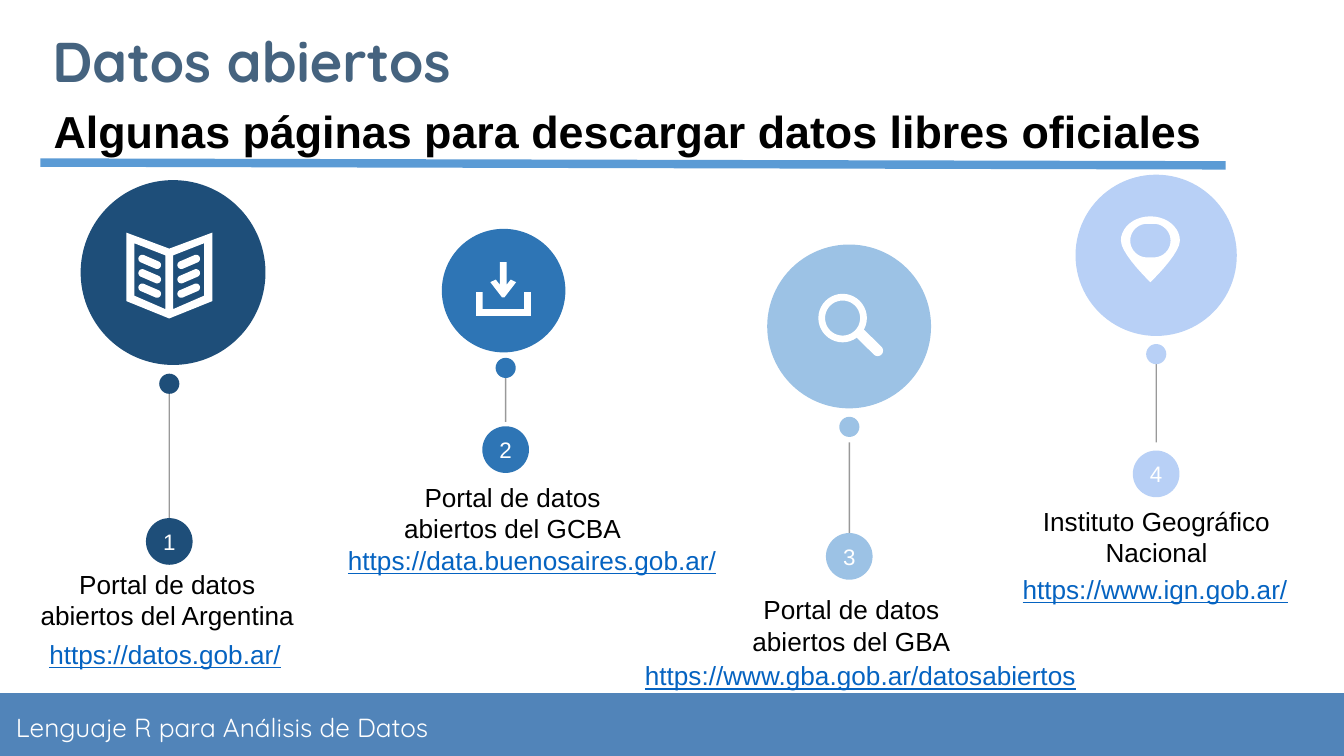
import math
import pptx
import pptx.util
import pptx.dml.color
import pptx.enum.shapes
import pptx.enum.text
import pptx.oxml.ns
from lxml import etree

Pt = pptx.util.Pt
RGB = pptx.dml.color.RGBColor.from_string
ALIGN = pptx.enum.text.PP_ALIGN
ANCHOR = pptx.enum.text.MSO_ANCHOR
SHAPE = pptx.enum.shapes.MSO_SHAPE
COLORS = {
    "white": "FFFFFF", "black": "000000", "title": "45637F", "footer": "5184B9",
    "rule": "5B9BD5", "link": "0563C1", "navy": "1E4E79", "blue": "2E75B5",
    "sky": "9CC2E5", "pale": "B8D0F6",
}


def write_text(shape, text, size, color, font="Arial", align=ALIGN.LEFT,
               anchor=ANCHOR.TOP, margins=(7.2, 3.6), bold=False, underline=False):
    frame = shape.text_frame
    frame.text = text
    frame.word_wrap = True
    frame.auto_size = pptx.enum.text.MSO_AUTO_SIZE.NONE
    frame.vertical_anchor = anchor
    frame.margin_left = frame.margin_right = Pt(margins[0])
    frame.margin_top = frame.margin_bottom = Pt(margins[1])
    paragraph = frame.paragraphs[0]
    paragraph.alignment = align
    run_font = paragraph.runs[0].font
    run_font.name, run_font.size = font, Pt(size)
    run_font.bold, run_font.underline = bold, underline
    run_font.color.rgb = RGB(COLORS[color])


def capsule(start, end, radius, steps=20):
    """Outline of a round-ended bar; a circle when both ends coincide."""
    heading = math.atan2(end[1] - start[1], end[0] - start[0])
    points = []
    for center, first in ((end, heading - math.pi / 2), (start, heading + math.pi / 2)):
        for step in range(steps + 1):
            angle = first + math.pi * step / steps
            points.append((center[0] + radius * math.cos(angle),
                           center[1] + radius * math.sin(angle)))
    return points


presentation = pptx.Presentation()
presentation.slide_width, presentation.slide_height = Pt(720), Pt(405)
slide = presentation.slides.add_slide(presentation.slide_layouts[5])
shapes = slide.shapes

# Title
title = shapes.title
title.left, title.top, title.width, title.height = Pt(20.9), Pt(13.7), Pt(474.5), Pt(36.7)
write_text(title, "Datos abiertos", 30, "title", "Quicksand",
           anchor=ANCHOR.MIDDLE, margins=(7.2, 7.2), bold=True)

# Footer band
footer = shapes.add_shape(SHAPE.RECTANGLE, Pt(0), Pt(371.3), Pt(720), Pt(33.7))
footer.shadow.inherit = False
footer.fill.solid()
footer.fill.fore_color.rgb = RGB(COLORS["footer"])
footer.line.fill.background()
footer_text = shapes.add_textbox(Pt(1.4), Pt(372.4), Pt(358), Pt(33.7))
write_text(footer_text, "Lenguaje R para Análisis de Datos", 14, "white", "Quicksand",
           anchor=ANCHOR.MIDDLE, margins=(7.2, 7.2))

# Subtitle
subtitle = shapes.add_textbox(Pt(21.6), Pt(51.8), Pt(635), Pt(36))
write_text(subtitle, "Algunas páginas para descargar datos libres oficiales", 24, "black", bold=True)

# Portals: color, axis, disc (left, top, size), dot top, stem (top, bottom),
# badge top, caption (text, left, top), link (text, left, top, width)
portals = [
    ("navy", 90.7, (43.2, 96.5, 99), 200.2, (211, 278), 277.6,
     ("Portal de datos abiertos del Argentina", 14.4, 301),
     ("https://datos.gob.ar/", 19.4, 338.4, 139)),
    ("blue", 270.9, (236.7, 122.6, 66.2), 191.7, (202.3, 226), 228.4,
     ("Portal de datos abiertos del GCBA", 199.4, 254.2),
     ("https://data.buenosaires.gob.ar/", 179.3, 288, 212.4)),
    ("sky", 455, (411, 131, 87.8), 223.3, (237, 285.8), 285.6,
     ("Portal de datos abiertos del GBA", 380.9, 314.6),
     ("https://www.gba.gob.ar/datosabiertos", 338.4, 350, 247)),
    ("pale", 619.4, (576.2, 93.6, 86.4), 184.3, (195, 237), 241.4,
     ("Instituto Geográfico Nacional", 544.3, 267.1),
     ("https://www.ign.gob.ar/", 540.7, 303.8, 157.7)),
]

# Rule and stems: x1, y1, x2, y2, color, width, opacity
lines = [(21.6, 87.1, 656.6, 88.6, "rule", 4.5, 100)]
lines += [(axis, stem[1], axis, stem[0], "black", 0.75, 40)
          for _, axis, _, _, stem, *_ in portals]
for x1, y1, x2, y2, color, width, opacity in lines:
    line = shapes.add_connector(pptx.enum.shapes.MSO_CONNECTOR.STRAIGHT,
                                Pt(x1), Pt(y1), Pt(x2), Pt(y2))
    line.line.width = Pt(width)
    line.line.color.rgb = RGB(COLORS[color])
    properties = line._element.spPr
    if opacity < 100:
        rgb = properties.find(".//" + pptx.oxml.ns.qn("a:srgbClr"))
        etree.SubElement(rgb, pptx.oxml.ns.qn("a:alpha")).set("val", str(opacity * 1000))
    etree.SubElement(properties, pptx.oxml.ns.qn("a:effectLst"))

# Discs, dots, numbered badges, captions and links
for number, (color, axis, disc, dot_top, _, badge_top, caption, link) in enumerate(portals, 1):
    circles = (disc, (axis - 5.4, dot_top, 10.8), (axis - 12.5, badge_top, 25))
    for left, top, size in circles:
        circle = shapes.add_shape(SHAPE.OVAL, Pt(left), Pt(top), Pt(size), Pt(size))
        circle.shadow.inherit = False
        circle.fill.solid()
        circle.fill.fore_color.rgb = RGB(COLORS[color])
        circle.line.fill.background()
    write_text(circle, str(number), 12, "white", align=ALIGN.CENTER,
               anchor=ANCHOR.MIDDLE, margins=(0, 0))

    text, left, top = caption
    caption_box = shapes.add_textbox(Pt(left), Pt(top), Pt(150.5), Pt(41))
    write_text(caption_box, text, 14, "black", align=ALIGN.CENTER)
    text, left, top, width = link
    link_box = shapes.add_textbox(Pt(left), Pt(top), Pt(width), Pt(24.5))
    write_text(link_box, text, 14, "link", underline=True)

# Book icon: cover, two page openings and text bars, mirrored about the spine
spine = 90.7
book = [[(67.7, 124.6), (spine, 133.2), (113.8, 124.6),
         (113.8, 161.3), (spine, 170.6), (67.7, 161.3)]]
for side in (-1, 1):
    book.append([(spine + side * x, y) for x, y in
                 ((18.7, 130.3), (18.7, 158.4), (2.1, 165.6), (2.1, 136.8))])
    for row in range(3):
        y = 138.6 + 7.7 * row
        book.append(capsule((spine + side * 14.4, y), (spine + side * 6.5, y + 3.4), 2.1))

# Download icon: tray and arrow
tray = [(255, 156.5), (258.5, 156.5), (258.5, 165.6), (280.8, 165.6),
        (280.8, 156.5), (284.4, 156.5), (284.4, 169.2), (255, 169.2)]
half_arrow = [(1.8, 140.4), (1.8, 152.6), (4, 149.8), (6.9, 151.2), (0.6, 159.4)]
arrow = [(269.6 + x, y) for x, y in half_arrow]
arrow += [(269.6 - x, y) for x, y in reversed(half_arrow)]

# Magnifier icon: lens ring and handle
lens_center = (451.4, 170.4)
lens = [capsule(lens_center, lens_center, radius) for radius in (13, 9.4)]
handle = [capsule((461.5, 179.3), (470.2, 187.9), 2.9)]

# Map pin icon: domed top, tapering sides and an opening
pin_x, pin_y = 616.3, 128.9
pin = [(pin_x + 15.8 * math.cos(math.pi * (1 + step / 20)),
        pin_y + 13 * math.sin(math.pi * (1 + step / 20))) for step in range(21)]
taper = []
for step in range(1, 11):
    t = step / 10
    taper.append((15.8 * ((1 - t) ** 3 + 3 * (1 - t) ** 2 * t),
                  21.6 * (1 - t) ** 2 * t + 22.3 * (3 * (1 - t) * t ** 2 + t ** 3)))
pin += [(pin_x + x, pin_y + y) for x, y in taper]
pin += [(pin_x - x, pin_y + y) for x, y in reversed(taper[:-1])]
opening = capsule((pin_x - 1.8, pin_y), (pin_x + 1.8, pin_y), 9)

# Draw the icons in hundredths of a point
for outlines in (book, [tray, arrow], lens, handle, [pin, opening]):
    scaled = [[(x * 100, y * 100) for x, y in outline] for outline in outlines]
    builder = shapes.build_freeform(*scaled[0][0], scale=Pt(0.01))
    for index, outline in enumerate(scaled):
        if index:
            builder.move_to(*outline[0])
        builder.add_line_segments(outline[1:], close=True)
    icon = builder.convert_to_shape()
    icon.shadow.inherit = False
    icon.fill.solid()
    icon.fill.fore_color.rgb = RGB(COLORS["white"])
    icon.line.fill.background()

presentation.save("out.pptx")
